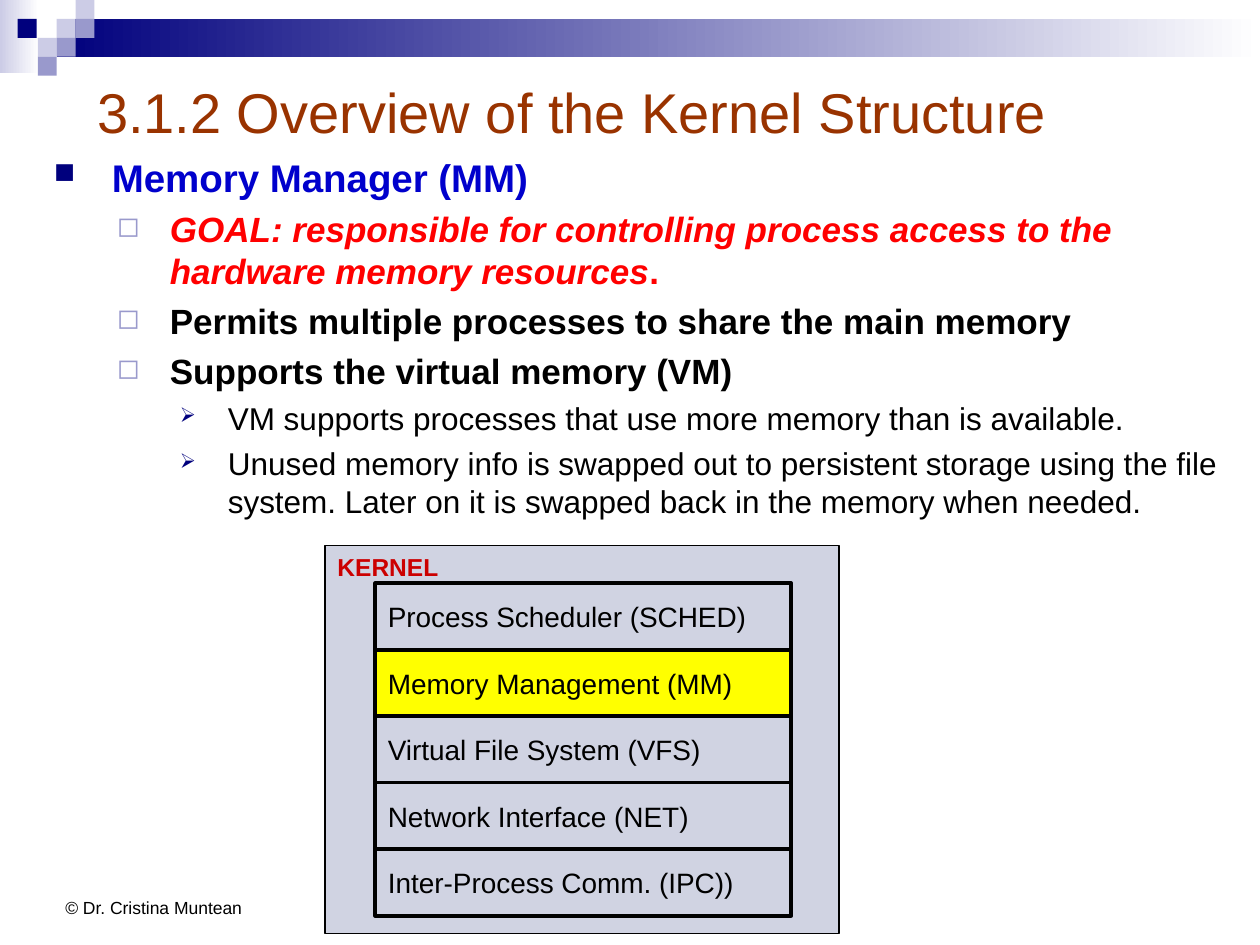
from lxml.etree import SubElement
from pptx import Presentation
from pptx.dml.color import RGBColor
from pptx.enum.shapes import MSO_SHAPE
from pptx.enum.text import MSO_ANCHOR, PP_ALIGN
from pptx.oxml.ns import qn
from pptx.util import Inches, Pt

NAVY = RGBColor(0x00, 0x00, 0x7D)
LILAC = RGBColor(0x99, 0x99, 0xCC)
PALE = RGBColor(0xCC, 0xCC, 0xE6)
WHITE = RGBColor(0xFF, 0xFF, 0xFF)
BLACK = RGBColor(0x00, 0x00, 0x00)
BROWN = RGBColor(0x99, 0x33, 0x00)
BLUE = RGBColor(0x00, 0x00, 0xCC)
RED = RGBColor(0xFF, 0x00, 0x00)
DARK_RED = RGBColor(0xCC, 0x00, 0x00)
YELLOW = RGBColor(0xFF, 0xFF, 0x00)
GREY = RGBColor(0xD0, 0xD3, 0xE2)

SQUARES = [
    (0.45, 0.15, PALE), (0.6, 0, PALE), (0.6, 0.15, LILAC), (0.3, 0.3, PALE),
    (0.14, 0.15, NAVY), (0.45, 0.3, LILAC), (0.3, 0.45, LILAC),
]
LEVELS = [
    (0.46, -0.46, "\u25a0", NAVY, 75, 22, True),
    (0.92, -0.42, "\u25fb", LILAC, 80, 20, True),
    (1.38, -0.38, "\u27a2", NAVY, 65, 18, False),
]
POINTS = [
    (0, BLUE, [("Memory Manager (MM)", False)]),
    (1, RED, [("GOAL: responsible for controlling process access to the "
               "hardware memory resources", True), (".", False)]),
    (1, BLACK, [("Permits multiple processes to share the main memory", False)]),
    (1, BLACK, [("Supports the virtual memory (VM)", False)]),
    (2, BLACK, [("VM supports processes that use more memory than is available.", False)]),
    (2, BLACK, [("Unused memory info is swapped out to persistent storage using the file "
                 "system. Later on it is swapped back in the memory when needed.", False)]),
]
MODULES = [
    ("Process Scheduler (SCHED)", GREY),
    ("Memory Management (MM)", YELLOW),
    ("Virtual File System (VFS)", GREY),
    ("Network Interface (NET)", GREY),
    ("Inter-Process Comm. (IPC))", GREY),
]


def format_run(r, size, color, bold=False, italic=False):
    r.font.name = "Arial"
    r.font.size = Pt(size)
    r.font.bold = bold
    r.font.italic = italic
    r.font.color.rgb = color


def add_rect(s, x, y, w, h, fill, line_width=None):
    sp = s.shapes.add_shape(MSO_SHAPE.RECTANGLE, Inches(x), Inches(y), Inches(w), Inches(h))
    sp.shadow.inherit = False
    sp.fill.solid()
    sp.fill.fore_color.rgb = fill
    if line_width:
        sp.line.color.rgb = BLACK
        sp.line.width = Pt(line_width)
    else:
        sp.line.fill.background()
    return sp


def add_fade(s, x, y, w, h, color):
    sp = add_rect(s, x, y, w, h, color)
    sp.fill.gradient()
    sp.fill.gradient_angle = 0
    for stop, rgb in zip(sp.fill.gradient_stops, (color, WHITE)):
        stop.color.rgb = rgb


def set_text(sp, text, size, color, bold=False):
    tf = sp.text_frame
    tf.text = text
    tf.vertical_anchor = MSO_ANCHOR.MIDDLE
    p = tf.paragraphs[0]
    p.alignment = PP_ALIGN.LEFT
    format_run(p.runs[0], size, color, bold)


def add_label(s, x, y, w, h, text, size, color, bold=False, wrap=True):
    sp = s.shapes.add_textbox(Inches(x), Inches(y), Inches(w), Inches(h))
    set_text(sp, text, size, color, bold)
    sp.text_frame.word_wrap = wrap


def set_bullet(p, left, indent, char, color, percent):
    pPr = p._p.get_or_add_pPr()
    pPr.set("marL", str(Inches(left)))
    pPr.set("indent", str(Inches(indent)))
    SubElement(SubElement(pPr, qn("a:buClr")), qn("a:srgbClr")).set("val", str(color))
    SubElement(pPr, qn("a:buSzPct")).set("val", str(percent * 1000))
    SubElement(pPr, qn("a:buChar")).set("char", char)


def add_header(s):
    add_fade(s, 0, 0, 0.31, 0.58, PALE)
    add_fade(s, 0.45, 0.15, 9.55, 0.3, NAVY)
    for x, y, color in SQUARES:
        add_rect(s, x, y, 0.15, 0.15, color)


def add_title(s, text):
    sp = s.shapes.title
    sp.left, sp.top, sp.width, sp.height = Inches(0.67), Inches(0.42), Inches(9.33), Inches(0.92)
    set_text(sp, text, 32, BROWN)


def add_points(s):
    sp = s.shapes.add_textbox(Inches(0.33), Inches(1.17), Inches(9.5), Inches(5.33))
    tf = sp.text_frame
    tf.word_wrap = True
    for i, (level, color, parts) in enumerate(POINTS):
        left, indent, char, bullet_color, percent, size, bold = LEVELS[level]
        p = tf.add_paragraph() if i else tf.paragraphs[0]
        p.level = level
        p.space_before = Pt(size * 0.23)
        set_bullet(p, left, indent, char, bullet_color, percent)
        for text, italic in parts:
            r = p.add_run()
            r.text = text
            format_run(r, size, color, bold, italic)


def add_kernel(s):
    add_rect(s, 2.58, 4.33, 4.08, 3.08, GREY, 0.75)
    for i, (name, fill) in enumerate(MODULES):
        sp = add_rect(s, 2.98, 4.63 + i * 0.527, 3.3, 0.53, fill, 2.25)
        set_text(sp, name, 16, BLACK)
    add_label(s, 2.58, 4.33, 1.33, 0.33, "KERNEL", 14, DARK_RED, bold=True)


def main():
    prs = Presentation()
    prs.slide_width, prs.slide_height = Inches(10), Inches(7.5)
    s = prs.slides.add_slide(prs.slide_layouts[5])
    add_header(s)
    add_title(s, "3.1.2 Overview of the Kernel Structure")
    add_points(s)
    add_kernel(s)
    add_label(s, 0.42, 7, 1.68, 0.4, "\u00a9 Dr. Cristina Muntean", 10, BLACK, wrap=False)
    prs.save("out.pptx")


main()
